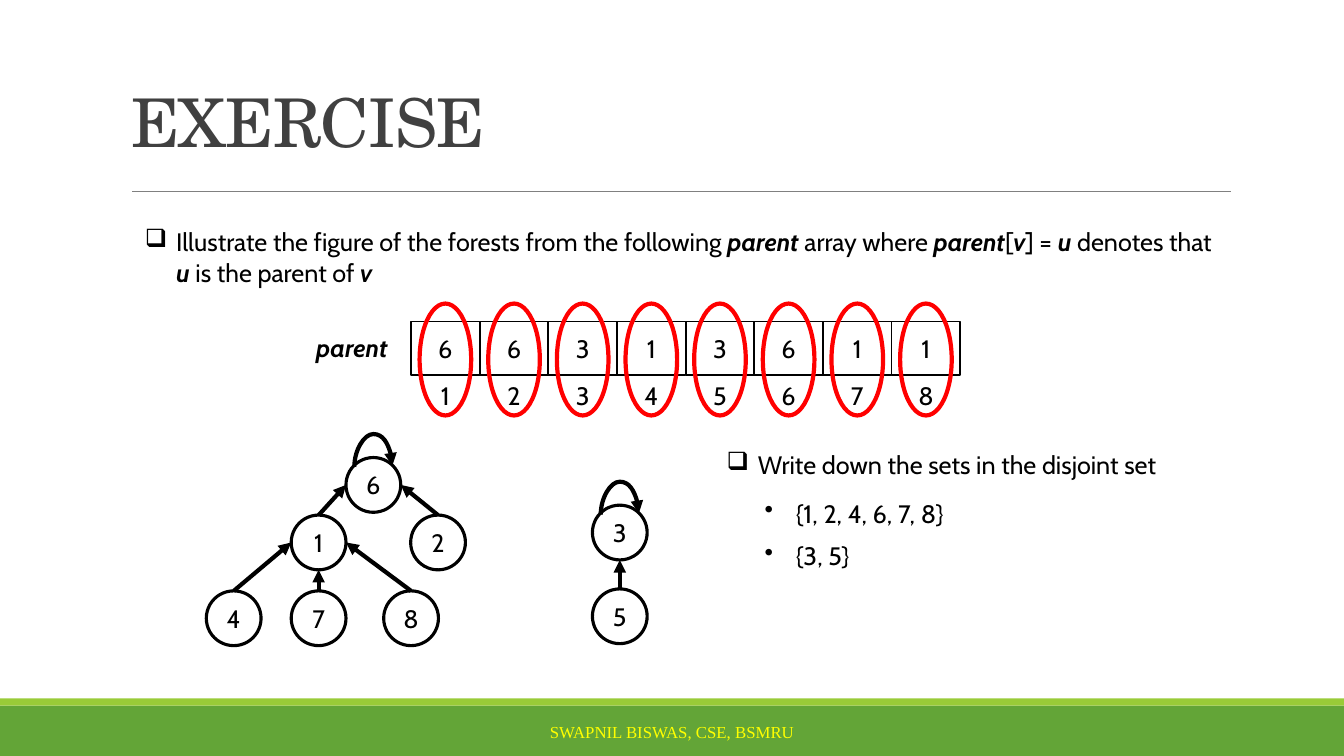
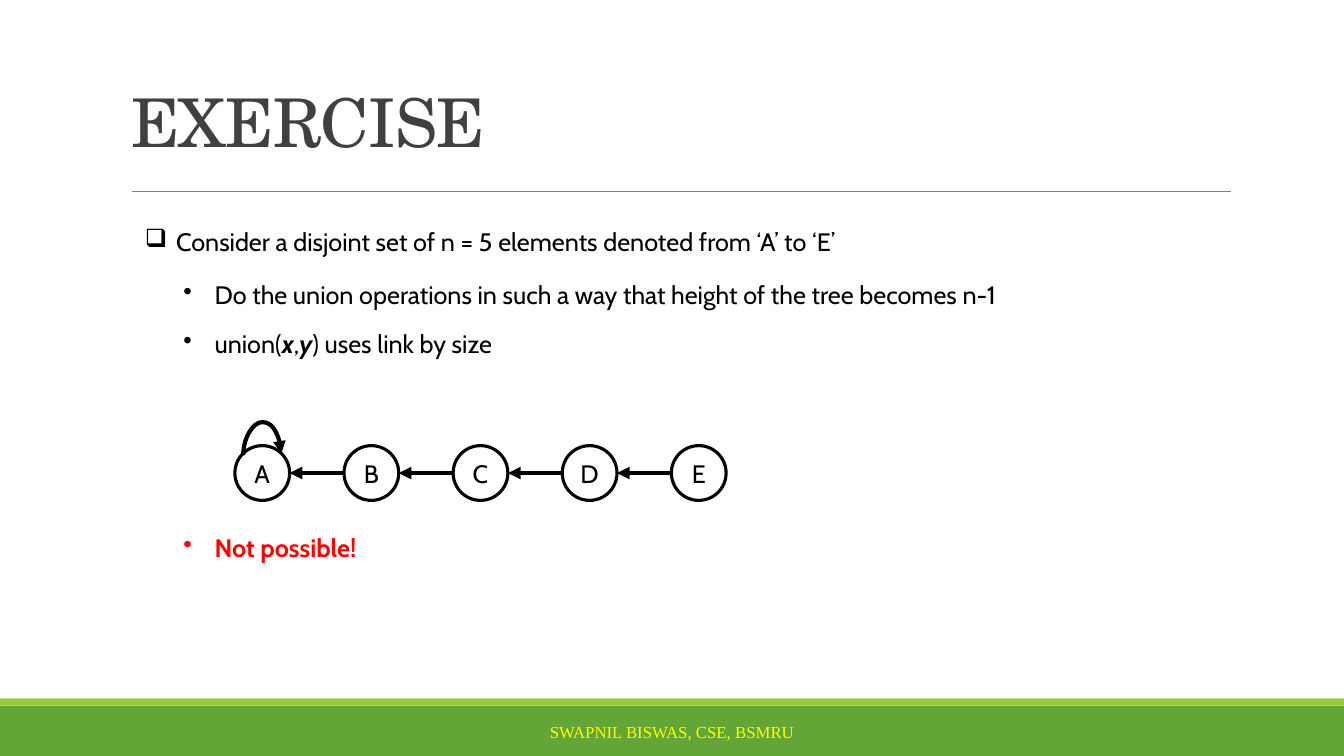
from lxml.etree import SubElement
from pptx import Presentation
from pptx.dml.color import RGBColor
from pptx.enum.shapes import MSO_CONNECTOR, MSO_SHAPE
from pptx.enum.text import MSO_ANCHOR, MSO_AUTO_SIZE, PP_ALIGN
from pptx.oxml.ns import qn
from pptx.util import Cm, Pt

SLIDE_WIDTH, SLIDE_HEIGHT = 33.87, 19.05
BLACK, WHITE, RED = "000000", "FFFFFF", "FF0000"
GREEN, LIME, GREY, DARK, YELLOW = "63A537", "99CB38", "808080", "404040", "FFFF00"
BODY_FONT, TITLE_FONT, FOOTER_FONT = "Cabin", "TeX Gyre Schola", "Times New Roman"
SQUARE_BULLET, DOT_BULLET = "❑", "•"
BULLET_INDENT = 0.79
LINE_HEIGHT = 1.02
NODE_SIZE = 1.38

PARENTS = {1: 6, 2: 6, 3: 3, 4: 1, 5: 3, 6: 6, 7: 1, 8: 1}
FOREST_CENTRES = {
    6: (4.21, 0.69), 1: (2.83, 2.14), 2: (5.84, 2.14),
    4: (0.69, 4.05), 7: (2.83, 4.05), 8: (5.16, 4.05),
    3: (10.42, 1.89), 5: (10.42, 4.0),
}
CHAIN = "ABCDE"
CHAIN_PITCH = 2.75


def color(hex_string):
    return RGBColor.from_string(hex_string)


def add_run(paragraph, text, size=18, font=BODY_FONT, ink=BLACK, bold=False, italic=False):
    run = paragraph.add_run()
    run.text = text
    run.font.size = Pt(size)
    run.font.name = font
    run.font.color.rgb = color(ink)
    run.font.bold = bold
    run.font.italic = italic
    return run


def add_marked_runs(paragraph, text, ink=BLACK, bold=False):
    """Add runs, setting the parts between asterisks in bold italic."""
    for index, part in enumerate(text.split("*")):
        marked = index % 2 == 1
        if part:
            add_run(paragraph, part, ink=ink, bold=bold or marked, italic=marked)


def add_text(slide, left, top, width, height=LINE_HEIGHT, align=PP_ALIGN.LEFT):
    """Add an empty wrapped text box and return its paragraph."""
    box = slide.shapes.add_textbox(Cm(left), Cm(top), Cm(width), Cm(height))
    box.text_frame.word_wrap = True
    paragraph = box.text_frame.paragraphs[0]
    paragraph.alignment = align
    return paragraph


def add_bullet(slide, left, top, width, text, bullet=DOT_BULLET, ink=BLACK, bold=False):
    paragraph = add_text(slide, left, top, width)
    properties = paragraph._p.get_or_add_pPr()
    properties.set("marL", str(Cm(BULLET_INDENT)))
    properties.set("indent", str(-Cm(BULLET_INDENT)))
    SubElement(properties, qn("a:buChar")).set("char", bullet)
    add_marked_runs(paragraph, text, ink, bold)


def add_figure(slide, kind, left, top, width, height, fill=None, line=None, weight=1, label=None):
    """Add a preset shape, with an optional centred label."""
    shape = slide.shapes.add_shape(kind, Cm(left), Cm(top), Cm(width), Cm(height))
    shape.shadow.inherit = False
    if fill:
        shape.fill.solid()
        shape.fill.fore_color.rgb = color(fill)
    else:
        shape.fill.background()
    if line:
        shape.line.color.rgb = color(line)
        shape.line.width = Pt(weight)
    else:
        shape.line.fill.background()
    if label is not None:
        frame = shape.text_frame
        frame.margin_left = frame.margin_right = frame.margin_top = frame.margin_bottom = 0
        frame.word_wrap = False
        frame.vertical_anchor = MSO_ANCHOR.MIDDLE
        frame.paragraphs[0].alignment = PP_ALIGN.CENTER
        add_run(frame.paragraphs[0], str(label))
    return shape


def add_line(slide, start, end, ink=BLACK, weight=3, arrow=True, kind=MSO_CONNECTOR.STRAIGHT):
    points = [Cm(value) for value in (*start, *end)]
    connector = slide.shapes.add_connector(kind, *points)
    connector.line.color.rgb = color(ink)
    connector.line.width = Pt(weight)
    if arrow:
        SubElement(connector.line._get_or_add_ln(), qn("a:tailEnd")).set("type", "triangle")
    SubElement(connector._element.spPr, qn("a:effectLst"))
    return connector


def add_self_loop(slide, x, y):
    """Arch an arrow over the node centred at x, y."""
    thickness, span, rise = 0.035, 0.96, 0.83
    middle = y - 0.47
    loop = add_line(
        slide,
        (x + thickness / 2, middle + span / 2),
        (x - thickness / 2, middle - span / 2),
        kind=MSO_CONNECTOR.CURVE,
    )
    properties = loop._element.spPr
    properties.find(qn("a:xfrm")).set("rot", "5400000")
    geometry = properties.find(qn("a:prstGeom"))
    guides = geometry.find(qn("a:avLst"))
    if guides is None:
        guides = SubElement(geometry, qn("a:avLst"))
    guide = SubElement(guides, qn("a:gd"))
    guide.set("name", "adj1")
    guide.set("fmla", f"val {round(rise / thickness * 100000)}")


def add_parent_arrow(slide, child, parent):
    """Point from the child's near edge to the side of the parent facing it."""
    radius = NODE_SIZE / 2
    (child_x, child_y), (parent_x, parent_y) = child, parent
    if child_y == parent_y:
        start = (child_x - radius, child_y)
    else:
        start = (child_x, child_y - radius)
    if child_x == parent_x:
        end = (parent_x, parent_y + radius)
    else:
        side = radius if child_x > parent_x else -radius
        end = (parent_x + side, parent_y)
    add_line(slide, start, end)


def add_forest(slide, left, top, centres, parents):
    places = {node: (left + x, top + y) for node, (x, y) in centres.items()}
    for node, (x, y) in places.items():
        add_figure(slide, MSO_SHAPE.OVAL, x - NODE_SIZE / 2, y - NODE_SIZE / 2,
                   NODE_SIZE, NODE_SIZE, WHITE, BLACK, 2.25, node)
    for node, parent in parents.items():
        if node == parent:
            add_self_loop(slide, *places[node])
        else:
            add_parent_arrow(slide, places[node], places[parent])


def add_parent_array(slide, left, top):
    cell_width, cell_height = 1.73, 1.35
    ring_width, ring_height, ring_rise = 1.3, 2.82, 0.45
    add_marked_runs(add_text(slide, left - 2.64, top + 0.16, 2.5), "*parent*")
    for index, (node, parent) in enumerate(PARENTS.items()):
        x = left + index * cell_width
        add_figure(slide, MSO_SHAPE.RECTANGLE, x, top, cell_width, cell_height,
                   WHITE, BLACK, 1.25, parent)
        label = add_text(slide, x, top + cell_height, cell_width, align=PP_ALIGN.CENTER)
        add_run(label, str(node))
    for index in range(len(PARENTS)):
        x = left + index * cell_width + (cell_width - ring_width) / 2
        add_figure(slide, MSO_SHAPE.OVAL, x, top - ring_rise, ring_width, ring_height,
                   line=RED, weight=3)


def add_title(slide, text):
    title = slide.shapes.title
    title.left, title.top, title.width, title.height = Cm(3.05), Cm(0.15), Cm(27.94), Cm(4.04)
    frame = title.text_frame
    frame.auto_size = MSO_AUTO_SIZE.NONE
    frame.word_wrap = True
    frame.vertical_anchor = MSO_ANCHOR.BOTTOM
    paragraph = frame.paragraphs[0]
    paragraph.alignment = PP_ALIGN.LEFT
    paragraph.line_spacing = 0.85
    run = add_run(paragraph, text, 48, TITLE_FONT, DARK)
    run.font._element.set("spc", "-50")


def add_footer(slide):
    band_height, strip_height = 1.27, 0.18
    band_top = SLIDE_HEIGHT - band_height
    add_figure(slide, MSO_SHAPE.RECTANGLE, 0, band_top, SLIDE_WIDTH, band_height, GREEN)
    add_figure(slide, MSO_SHAPE.RECTANGLE, 0, band_top - strip_height,
               SLIDE_WIDTH, strip_height, LIME)
    paragraph = add_text(slide, 10.24, band_top + 0.15, 13.39, align=PP_ALIGN.CENTER)
    paragraph._parent.vertical_anchor = MSO_ANCHOR.MIDDLE
    add_run(paragraph, "SWAPNIL BISWAS, CSE, BSMRU", 12, FOOTER_FONT, YELLOW)


def add_exercise_slide(presentation):
    slide = presentation.slides.add_slide(presentation.slide_layouts[5])
    add_title(slide, "EXERCISE")
    add_line(slide, (3.33, 4.83), (31.01, 4.83), GREY, 0.5, arrow=False)
    add_footer(slide)
    return slide


def add_forest_slide(presentation):
    slide = add_exercise_slide(presentation)
    add_bullet(slide, 3.4, 5.59, 27.58,
               "Illustrate the figure of the forests from the following *parent* array where "
               "*parent*[*v*] = *u* denotes that *u* is the parent of *v*", SQUARE_BULLET)
    add_parent_array(slide, 10.36, 8.1)
    add_forest(slide, 5.2, 11.53, FOREST_CENTRES, PARENTS)
    add_bullet(slide, 18.06, 11.2, 12.2, "Write down the sets in the disjoint set", SQUARE_BULLET)
    add_bullet(slide, 19.02, 12.42, 9.83, "{1, 2, 4, 6, 7, 8}")
    add_bullet(slide, 19.02, 13.49, 9.83, "{3, 5}")


def add_chain_slide(presentation):
    slide = add_exercise_slide(presentation)
    add_bullet(slide, 3.4, 5.59, 27.58,
               "Consider a disjoint set of n = 5 elements denoted from ‘A’ to ‘E’", SQUARE_BULLET)
    add_bullet(slide, 4.37, 6.91, 26,
               "Do the union operations in such a way that height of the tree becomes n-1")
    add_bullet(slide, 4.37, 8.15, 26, "union(*x*,*y*) uses link by size")
    radius = NODE_SIZE / 2
    centres = {node: (radius + index * CHAIN_PITCH, radius) for index, node in enumerate(CHAIN)}
    add_forest(slide, 5.92, 11.23, centres, dict(zip(CHAIN, CHAIN[0] + CHAIN)))
    add_bullet(slide, 4.37, 13.28, 10, "Not possible!", ink=RED, bold=True)


def main():
    presentation = Presentation()
    presentation.slide_width = Cm(SLIDE_WIDTH)
    presentation.slide_height = Cm(SLIDE_HEIGHT)
    add_forest_slide(presentation)
    add_chain_slide(presentation)
    presentation.save("out.pptx")


if __name__ == "__main__":
    main()
